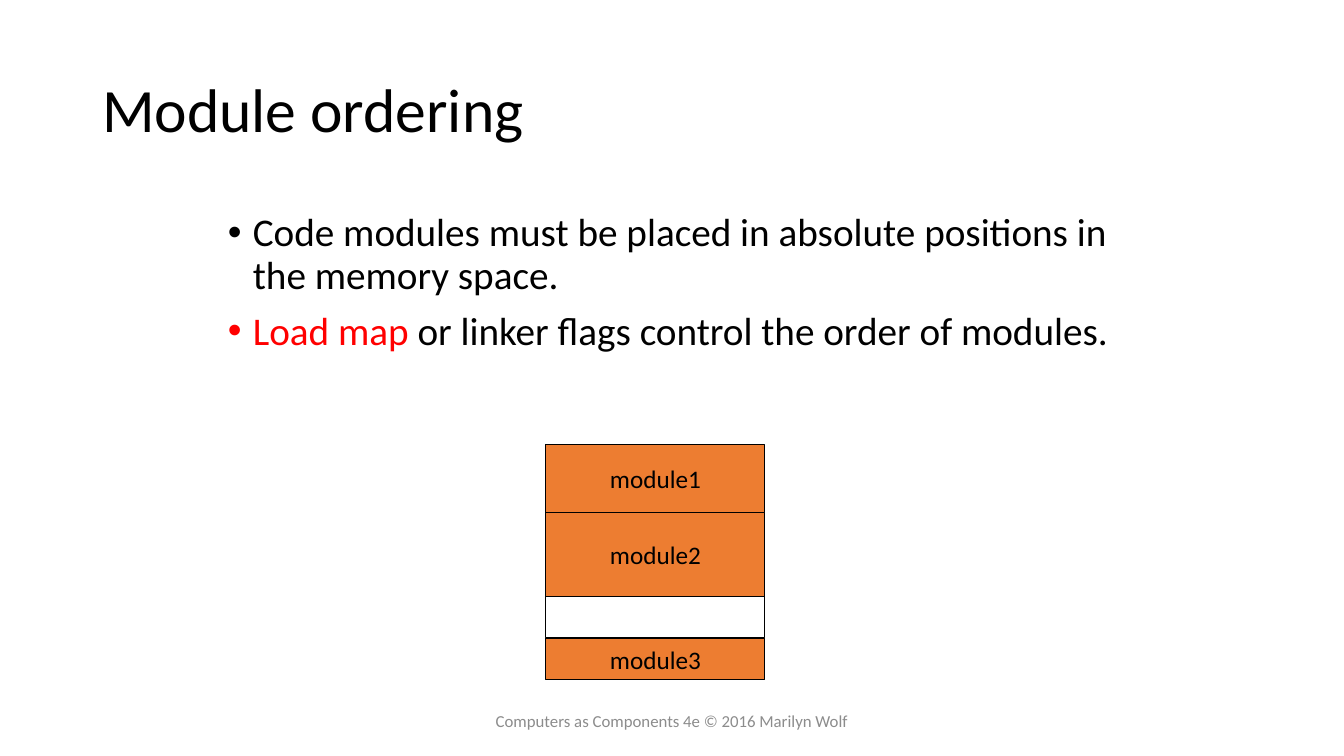
import collections
import dataclasses

import lxml.etree
import pptx
import pptx.dml.color
import pptx.enum.shapes
import pptx.enum.text
import pptx.oxml.ns
import pptx.util

EMU_PER_PIXEL = 12192000 / 1344
Box = collections.namedtuple("Box", "left top width height")


@dataclasses.dataclass(frozen=True)
class Theme:
    font: str = "Calibri"
    text: str = "000000"
    accent: str = "FF0000"
    module: str = "ED7D31"
    muted: str = "8C8C8C"
    title_size: int = 44
    body_size: int = 28
    label_size: int = 18
    footer_size: int = 12
    outline_width: float = 0.75
    line_spacing: float = 0.9


THEME = Theme()
ALIGN = pptx.enum.text.PP_ALIGN
ANCHOR = pptx.enum.text.MSO_ANCHOR


def pixels(value):
    return pptx.util.Emu(round(value * EMU_PER_PIXEL))


def color(value):
    return pptx.dml.color.RGBColor.from_string(value)


def place(box):
    return [pixels(value) for value in box]


def format_run(run, size, fill):
    run.font.name = THEME.font
    run.font.size = pptx.util.Pt(size)
    run.font.color.rgb = color(fill)


def write_line(text_frame, text, size, fill, alignment, wrap=True):
    text_frame.text = text
    text_frame.word_wrap = wrap
    text_frame.vertical_anchor = ANCHOR.MIDDLE
    paragraph = text_frame.paragraphs[0]
    paragraph.alignment = alignment
    format_run(paragraph.runs[0], size, fill)
    return paragraph


def add_title(slide, box, text):
    title = slide.shapes.title
    title.left, title.top, title.width, title.height = place(box)
    paragraph = write_line(title.text_frame, text, THEME.title_size, THEME.text, ALIGN.LEFT)
    title.text_frame.auto_size = pptx.enum.text.MSO_AUTO_SIZE.NONE
    paragraph.line_spacing = THEME.line_spacing


def set_bullet(paragraph, indent):
    properties = paragraph._p.get_or_add_pPr()
    properties.set("marL", str(pixels(indent)))
    properties.set("indent", str(-pixels(indent)))
    font = lxml.etree.SubElement(properties, pptx.oxml.ns.qn("a:buFont"))
    font.set("typeface", "Arial")
    bullet = lxml.etree.SubElement(properties, pptx.oxml.ns.qn("a:buChar"))
    bullet.set("char", "•")


def add_bullets(slide, box, items):
    text_frame = slide.shapes.add_textbox(*place(box)).text_frame
    text_frame.word_wrap = True
    for index, parts in enumerate(items):
        paragraph = text_frame.add_paragraph() if index else text_frame.paragraphs[0]
        paragraph.line_spacing = THEME.line_spacing
        paragraph.space_before = pptx.util.Pt(10)
        set_bullet(paragraph, 25)
        for text, fill in parts:
            run = paragraph.add_run()
            run.text = text
            format_run(run, THEME.body_size, fill)


def add_memory_map(slide, box, segments):
    unit = box.height / sum(share for _, share in segments)
    top = box.top
    for label, share in segments:
        segment_box = Box(box.left, top, box.width, share * unit)
        segment = slide.shapes.add_shape(
            pptx.enum.shapes.MSO_SHAPE.RECTANGLE, *place(segment_box))
        segment.shadow.inherit = False
        segment.line.color.rgb = color(THEME.text)
        segment.line.width = pptx.util.Pt(THEME.outline_width)
        if label:
            segment.fill.solid()
            segment.fill.fore_color.rgb = color(THEME.module)
            write_line(segment.text_frame, label, THEME.label_size, THEME.text,
                       ALIGN.CENTER, wrap=False)
        else:
            segment.fill.background()
        top += segment_box.height


def add_footer(slide, box, text):
    footer = slide.shapes.add_textbox(*place(box))
    write_line(footer.text_frame, text, THEME.footer_size, THEME.muted, ALIGN.CENTER)


def build_module_ordering(presentation):
    slide = presentation.slides.add_slide(presentation.slide_layouts[5])
    add_title(slide, Box(92, 40, 1159, 146), "Module ordering")
    add_bullets(slide, Box(218, 208, 901, 246), [
        [("Code modules must be placed in absolute positions in the memory space.", THEME.text)],
        [("Load map", THEME.accent),
         (" or linker flags control the order of modules.", THEME.text)],
    ])
    add_memory_map(slide, Box(546, 445, 219, 235), [
        ("module1", 8), ("module2", 10), ("", 5), ("module3", 5),
    ])
    add_footer(slide, Box(445, 701, 454, 40), "Computers as Components 4e © 2016 Marilyn Wolf")


presentation = pptx.Presentation()
presentation.slide_width = pixels(1344)
presentation.slide_height = pixels(756)
build_module_ordering(presentation)
presentation.save("out.pptx")
